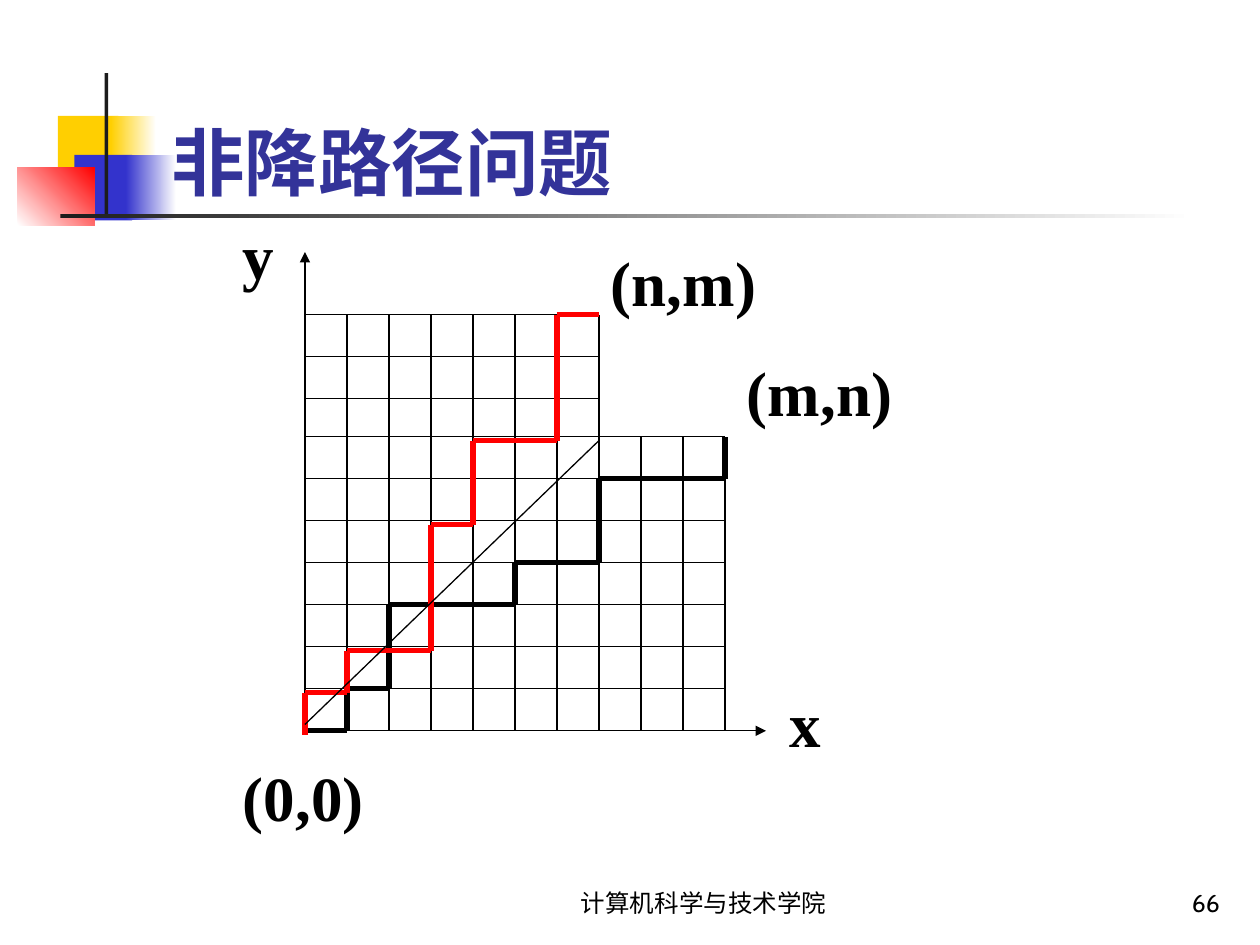
from lxml.etree import SubElement
from pptx import Presentation
from pptx.dml.color import RGBColor
from pptx.enum.shapes import MSO_CONNECTOR as Connector, MSO_SHAPE as Shape
from pptx.enum.text import MSO_ANCHOR as Anchor, PP_ALIGN as Align
from pptx.oxml.ns import qn
from pptx.util import Inches, Pt

ORIGIN_X, ORIGIN_Y = 2.42, 5.8
RED_ORIGIN_Y = 5.83
STEP = 1 / 3
BLACK, RED, YELLOW, BLUE, WHITE, DARK = (
    "000000", "FF0000", "FFCF01", "3333CC", "FFFFFF", "1C1C1C")
BLACK_PATH = [(0, 0), (1, 0), (1, 1), (2, 1), (2, 3), (5, 3),
              (5, 4), (7, 4), (7, 6), (10, 6), (10, 7)]
RED_PATH = [(0, 0), (0, 1), (1, 1), (1, 2), (3, 2), (3, 5),
            (4, 5), (4, 7), (6, 7), (6, 10), (7, 10)]


def color(hex_code):
    """Return the colour for a hex string."""
    return RGBColor.from_string(hex_code)


def add_block(slide, box, start, end=None, angle=0):
    """Add a borderless rectangle with a solid or two-colour fill."""
    block = slide.shapes.add_shape(Shape.RECTANGLE, *map(Inches, box))
    block.shadow.inherit = False
    block.line.fill.background()
    if end is None:
        block.fill.solid()
        block.fill.fore_color.rgb = color(start)
        return
    block.fill.gradient()
    block.fill.gradient_angle = angle
    for stop, hex_code in zip(block.fill.gradient_stops, (start, end)):
        stop.color.rgb = color(hex_code)


def add_text(slide, box, text, size=36, font="Times New Roman", hex_code=BLACK,
             bold=False, align=Align.LEFT, anchor=Anchor.TOP):
    """Add a text box holding one formatted paragraph."""
    frame = slide.shapes.add_textbox(*map(Inches, box)).text_frame
    frame.word_wrap = True
    frame.vertical_anchor = anchor
    paragraph = frame.paragraphs[0]
    paragraph.alignment = align
    run = paragraph.add_run()
    run.text = text
    run.font.size = Pt(size)
    run.font.name = font
    run.font.bold = bold
    run.font.color.rgb = color(hex_code)


def add_line(slide, start, end, hex_code=BLACK, width=0.75, arrow=False):
    """Add a straight line, with an arrowhead at its end if asked."""
    line = slide.shapes.add_connector(
        Connector.STRAIGHT, *map(Inches, (*start, *end)))
    line.line.color.rgb = color(hex_code)
    line.line.width = Pt(width)
    properties = line._element.spPr
    if arrow:
        SubElement(properties.find(qn("a:ln")), qn("a:tailEnd"), type="triangle")
    SubElement(properties, qn("a:effectLst"))


def grid_point(column, row, base=ORIGIN_Y):
    """Return the slide position of a lattice point."""
    return ORIGIN_X + column * STEP, base - row * STEP


def add_path(slide, corners, hex_code, base):
    """Add a thick lattice path through the given corners."""
    points = [grid_point(column, row, base) for column, row in corners]
    for start, end in zip(points, points[1:]):
        add_line(slide, start, end, hex_code, 3)


def add_decoration(slide):
    """Add the coloured blocks and bars beside the title."""
    add_block(slide, (0.46, 0.92, 0.48, 0.52), YELLOW)
    add_block(slide, (0.88, 0.92, 0.36, 0.52), YELLOW, WHITE)
    add_block(slide, (0.59, 1.23, 0.46, 0.52), BLUE)
    add_block(slide, (1, 1.23, 0.4, 0.52), BLUE, WHITE)
    add_block(slide, (0.14, 1.33, 0.61, 0.46), WHITE, RED, angle=45)
    add_block(slide, (0.83, 0.58, 0.03, 1.15), DARK)
    add_block(slide, (0.48, 1.7, 9, 0.03), DARK, WHITE)


def add_grid(slide):
    """Add the axes and the two overlapping lattices."""
    origin = (ORIGIN_X, ORIGIN_Y)
    add_line(slide, origin, (ORIGIN_X, 2), arrow=True)
    add_line(slide, origin, (6.08, ORIGIN_Y), arrow=True)
    for row in range(1, 11):
        columns, base = (10, ORIGIN_Y) if row <= 7 else (7, RED_ORIGIN_Y)
        add_line(slide, grid_point(0, row, base), grid_point(columns, row, base))
    for column in range(1, 11):
        top = grid_point(column, 10, RED_ORIGIN_Y) if column <= 7 else grid_point(column, 7)
        add_line(slide, grid_point(column, 0), top)


def main():
    """Build and save the slide."""
    deck = Presentation()
    deck.slide_width, deck.slide_height = Inches(10), Inches(7.5)
    slide = deck.slides.add_slide(deck.slide_layouts[6])

    add_decoration(slide)
    add_text(slide, (1.26, 0.08, 8.52, 1.6), "非降路径问题", size=42, font="Cabin",
             hex_code="333399", bold=True, anchor=Anchor.BOTTOM)

    add_grid(slide)
    add_path(slide, BLACK_PATH, BLACK, ORIGIN_Y)
    add_path(slide, RED_PATH, RED, RED_ORIGIN_Y)
    add_line(slide, (ORIGIN_X, 5.75), (4.75, 3.5))

    for label, left, top, width in [
        ("y", 1.83, 1.67, 0.5),
        ("x", 6.17, 5.38, 0.5),
        ("(0,0)", 1.83, 5.97, 1.25),
        ("(m,n)", 5.83, 2.76, 1.42),
        ("(n,m)", 4.75, 1.88, 1.42),
    ]:
        add_text(slide, (left, top, width, 0.7), label, bold=True)

    for footer, left, width, align in [
        ("计算机科学与技术学院", 4, 3.17, Align.CENTER),
        ("66", 7.7, 2.08, Align.RIGHT),
    ]:
        add_text(slide, (left, 6.83, width, 0.5), footer, size=14, font="Cabin",
                 align=align, anchor=Anchor.BOTTOM)

    deck.save("out.pptx")


if __name__ == "__main__":
    main()
